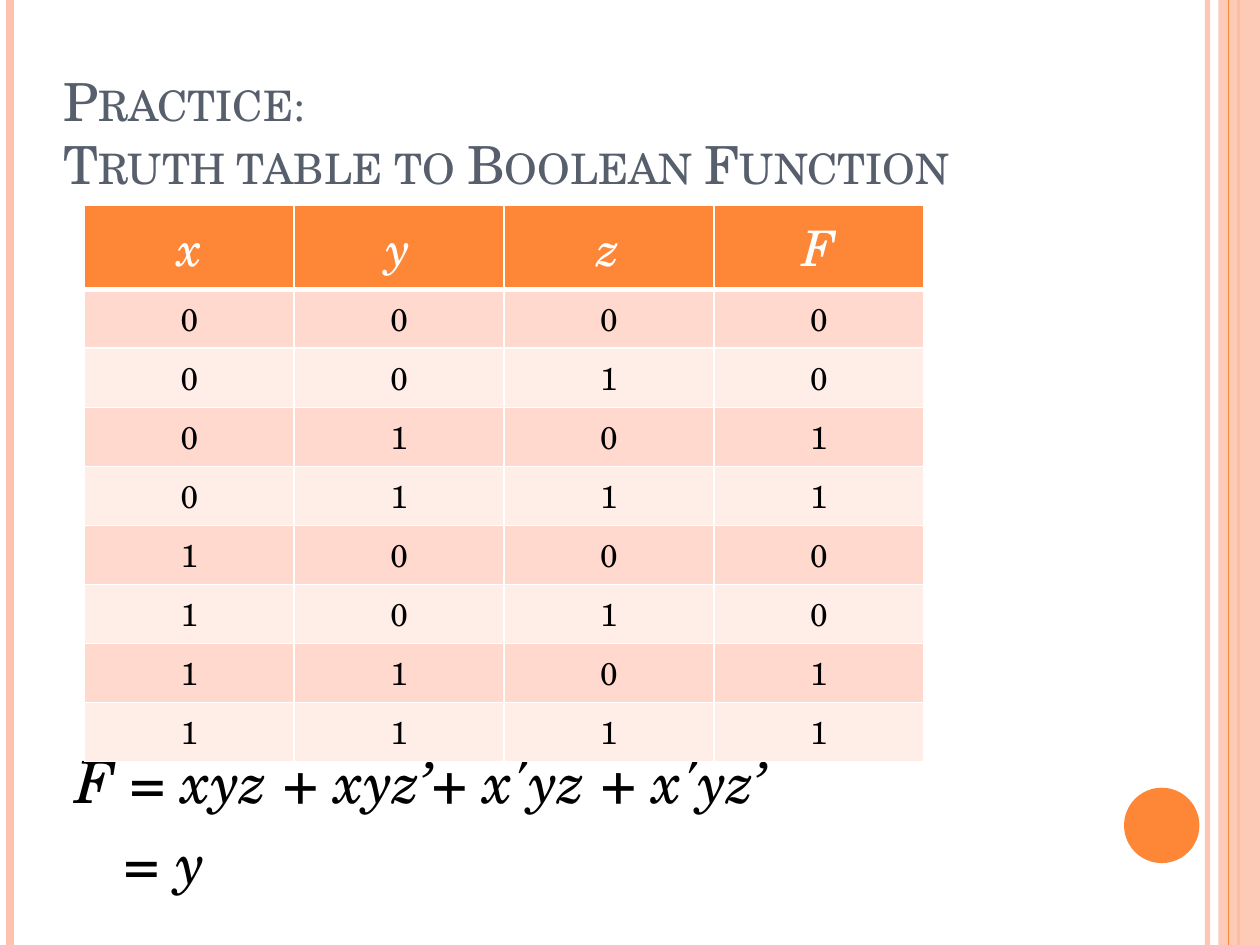
import pptx
import pptx.util
import pptx.dml.color
import pptx.enum.shapes
import pptx.enum.text
import pptx.oxml
import pptx.oxml.ns
import itertools
from dataclasses import dataclass

Cm = pptx.util.Cm
Pt = pptx.util.Pt
rgb = pptx.dml.color.RGBColor.from_string
qn = pptx.oxml.ns.qn
namespace = pptx.oxml.ns.nsdecls("a")


@dataclass
class Theme:
    font: str = "TeX Gyre Schola"
    accent: str = "FE8637"
    pale: str = "FEC3AE"
    heading: str = "575F6D"
    ink: str = "000000"
    white: str = "FFFFFF"
    bands: tuple = ("FFD9CE", "FFEDE8")
    title_size: float = 30
    header_size: float = 28
    cell_size: float = 18
    formula_size: float = 33.3


theme = Theme()


def add_run(paragraph, text, size, color, italic=False):
    run = paragraph.add_run()
    run.text = text
    run.font.name = theme.font
    run.font.size = Pt(size)
    run.font.italic = italic
    run.font.color.rgb = rgb(color)
    return run


def set_alpha(fill_parent, percent):
    color = fill_parent.find(".//" + qn("a:srgbClr"))
    color.append(pptx.oxml.parse_xml(f'<a:alpha {namespace} val="{percent * 1000}"/>'))


presentation = pptx.Presentation()
presentation.slide_width = Cm(25.4)
presentation.slide_height = Cm(19.05)
slide = presentation.slides.add_slide(presentation.slide_layouts[6])
shapes = slide.shapes

stripes = [
    (24.34, theme.pale, 3, 93),
    (0.21, theme.pale, 4.5, 100),
    (24.97, theme.accent, 1.5, 100),
    (24.77, theme.accent, 0.75, 100),
]
for index, (x, color, width, alpha) in enumerate(stripes):
    if index == 3:
        band = shapes.add_shape(pptx.enum.shapes.MSO_SHAPE.RECTANGLE, Cm(24.56), Cm(0), Cm(0.84), Cm(19.05))
        band.shadow.inherit = False
        band.fill.solid()
        band.fill.fore_color.rgb = rgb(theme.pale)
        band.line.fill.background()
        set_alpha(band._element.spPr, 87)
    stripe = shapes.add_connector(pptx.enum.shapes.MSO_CONNECTOR.STRAIGHT, Cm(x), Cm(0), Cm(x), Cm(19.05))
    stripe.line.color.rgb = rgb(color)
    stripe.line.width = Pt(width)
    if alpha < 100:
        set_alpha(stripe._element.spPr, alpha)
    stripe._element.spPr.append(pptx.oxml.parse_xml(f"<a:effectLst {namespace}/>"))

circle = shapes.add_shape(pptx.enum.shapes.MSO_SHAPE.OVAL, Cm(22.66), Cm(15.88), Cm(1.52), Cm(1.52))
circle.shadow.inherit = False
circle.fill.solid()
circle.fill.fore_color.rgb = rgb(theme.accent)
circle.line.fill.background()

title = shapes.add_textbox(Cm(1.28), Cm(0.76), Cm(20.75), Cm(3.18)).text_frame
title.word_wrap = True
title.vertical_anchor = pptx.enum.text.MSO_ANCHOR.BOTTOM
title.margin_left = title.margin_right = title.margin_top = title.margin_bottom = 0
title_paragraph = title.paragraphs[0]
for line_number, text in enumerate(["Practice:", "Truth table to Boolean Function"]):
    if line_number:
        title_paragraph.add_line_break()
    run = add_run(title_paragraph, text, theme.title_size, theme.heading)
    run.font._element.set("cap", "small")

formula = shapes.add_textbox(Cm(1.27), Cm(14.9), Cm(21.36), Cm(3.2)).text_frame
formula.word_wrap = True
formula_lines = [("F = xyz + xyz’+ x'yz + x'yz’", 0), ("= y", 1)]
for line_number, (text, indent) in enumerate(formula_lines):
    paragraph = formula.add_paragraph() if line_number else formula.paragraphs[0]
    paragraph.space_before = Pt(6)
    paragraph._p.get_or_add_pPr().set("marL", str(Cm(indent)))
    add_run(paragraph, text, theme.formula_size, theme.ink, italic=True)

inputs = list(itertools.product((0, 1), repeat=3))
rows = [("x", "y", "z", "F")] + [(x, y, z, y) for x, y, z in inputs]
table_frame = shapes.add_table(len(rows), 4, Cm(1.7), Cm(4.14), Cm(16.92), Cm(11.21))
table = table_frame.table
for column in table.columns:
    column.width = Cm(4.23)
for row_number, values in enumerate(rows):
    is_header = row_number == 0
    table.rows[row_number].height = Cm(1.69 if is_header else 1.19)
    size = theme.header_size if is_header else theme.cell_size
    color = theme.white if is_header else theme.ink
    fill = theme.accent if is_header else theme.bands[(row_number - 1) % 2]
    borders = {"L": 1, "R": 1, "T": 3 if row_number == 1 else 1, "B": 3 if is_header else 1}
    for column_number, value in enumerate(values):
        cell = table.cell(row_number, column_number)
        properties = cell._tc.get_or_add_tcPr()
        for side, width in borders.items():
            properties.append(pptx.oxml.parse_xml(
                f'<a:ln{side} {namespace} w="{Pt(width)}"><a:solidFill>'
                f'<a:srgbClr val="{theme.white}"/></a:solidFill></a:ln{side}>'))
        cell.fill.solid()
        cell.fill.fore_color.rgb = rgb(fill)
        paragraph = cell.text_frame.paragraphs[0]
        paragraph.alignment = pptx.enum.text.PP_ALIGN.CENTER
        paragraph.space_before = Pt(round(size * 0.24, 1))
        add_run(paragraph, str(value), size, color, italic=is_header)

presentation.save("out.pptx")
